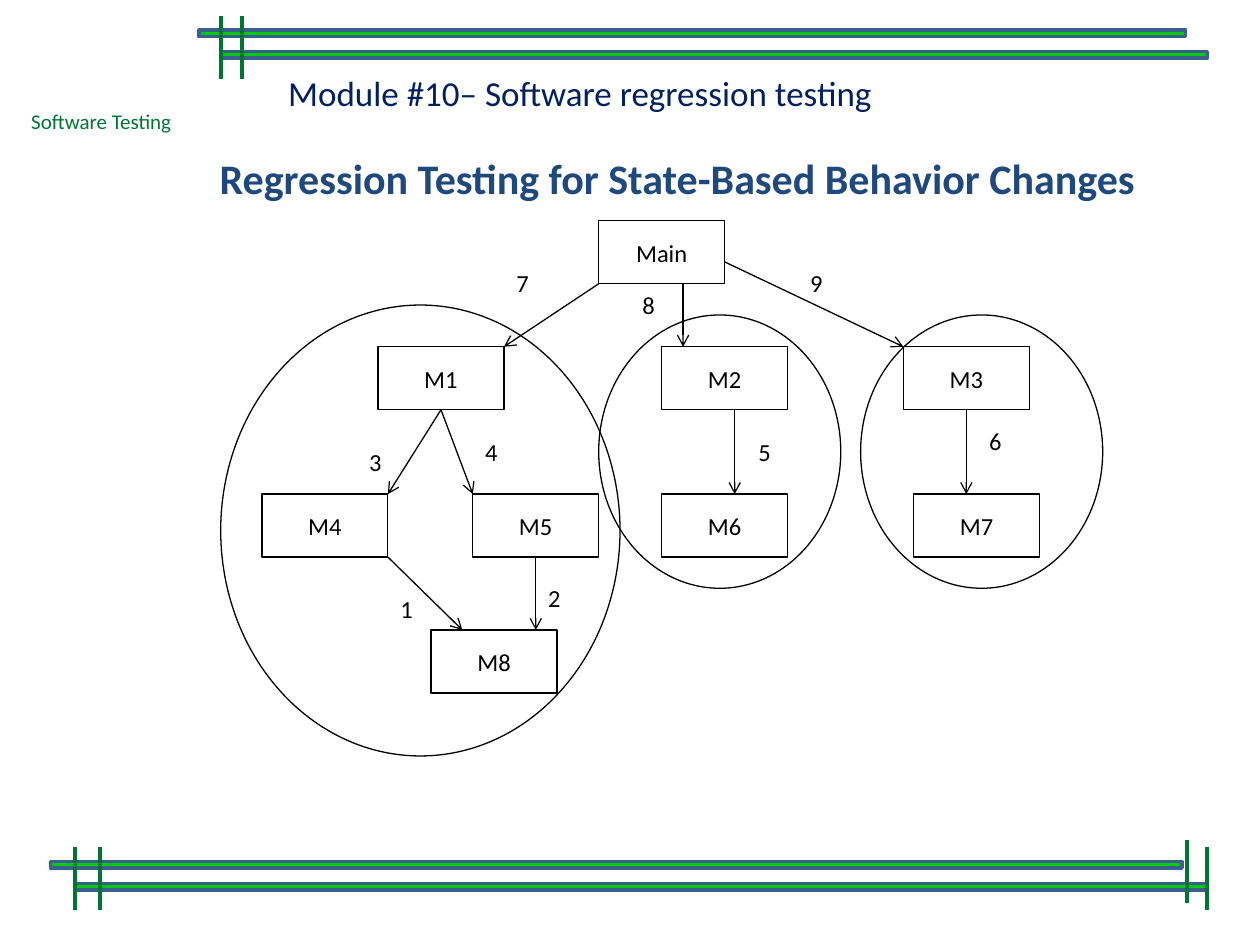
import dataclasses

import lxml.etree
import pptx
import pptx.dml.color
import pptx.enum.shapes
import pptx.enum.text
import pptx.oxml.ns
import pptx.util

Cm = pptx.util.Cm
SHAPES = pptx.enum.shapes.MSO_SHAPE
ANCHOR = pptx.enum.text.MSO_ANCHOR
ALIGN = pptx.enum.text.PP_ALIGN
BOTTOM = 2


@dataclasses.dataclass(frozen=True)
class Theme:
    font: str = "Calibri"
    ink: str = "000000"
    paper: str = "FFFFFF"
    bar: str = "00CC00"
    bar_edge: str = "3A5F8C"
    green: str = "007434"
    module: str = "002060"
    title: str = "1F497D"
    title_size: int = 24
    module_size: int = 20
    diagram_size: int = 14
    course_size: int = 12
    thin: float = 0.75
    bar_width: float = 2
    tick_width: float = 2.25


def apply(target, values):
    for name, value in values.items():
        setattr(target, name, value)


def color(value):
    return pptx.dml.color.RGBColor.from_string(value)


class SlideBuilder:
    def __init__(self, slide, theme):
        self.slide = slide
        self.theme = theme

    def set_text(self, shape, text, size, ink, bold=False, frame=None, paragraph=None):
        text_frame = shape.text_frame
        text_frame.text = text
        apply(text_frame, {"word_wrap": False, **(frame or {})})
        first = text_frame.paragraphs[0]
        apply(first, {"alignment": ALIGN.LEFT, **(paragraph or {})})
        apply(first.font, {"name": self.theme.font, "size": pptx.util.Pt(size), "bold": bold})
        first.font.color.rgb = color(ink)

    def fill(self, shape, value):
        shape.fill.solid()
        shape.fill.fore_color.rgb = color(value)

    def stroke(self, shape, value, width):
        shape.line.color.rgb = color(value)
        shape.line.width = pptx.util.Pt(width)

    def title(self, text, left, top, width, height):
        shape = self.slide.shapes.title
        apply(shape, {"left": Cm(left), "top": Cm(top), "width": Cm(width), "height": Cm(height)})
        self.fill(shape, self.theme.paper)
        margins = {f"margin_{side}": Cm(0.4) for side in ("left", "top", "right", "bottom")}
        self.set_text(shape, text, self.theme.title_size, self.theme.title, True,
                      {"vertical_anchor": ANCHOR.MIDDLE, "word_wrap": True,
                       "auto_size": pptx.enum.text.MSO_AUTO_SIZE.NONE, **margins},
                      {"alignment": ALIGN.CENTER, "line_spacing": 0.9})

    def shape(self, kind, left, top, width, height, fill=None, line=None, line_width=None):
        shape = self.slide.shapes.add_shape(kind, Cm(left), Cm(top), Cm(width), Cm(height))
        shape.shadow.inherit = False
        if fill:
            self.fill(shape, fill)
        else:
            shape.fill.background()
        if line:
            self.stroke(shape, line, line_width)
        else:
            shape.line.fill.background()
        return shape

    def bar(self, left, top, width):
        self.shape(SHAPES.FLOWCHART_PROCESS, left, top, width, 0.13,
                   self.theme.bar, self.theme.bar_edge, self.theme.bar_width)

    def tick(self, left, top):
        self.line((left, top), (left, top + 1.27), self.theme.green, self.theme.tick_width)

    def node(self, text, left, top):
        shape = self.shape(SHAPES.RECTANGLE, left, top, 2.54, 1.27,
                           self.theme.paper, self.theme.ink, self.theme.thin)
        self.set_text(shape, text, self.theme.diagram_size, self.theme.ink,
                      frame={"vertical_anchor": ANCHOR.MIDDLE},
                      paragraph={"alignment": ALIGN.CENTER})
        return shape

    def group_ring(self, left, top, width, height):
        self.shape(SHAPES.OVAL, left, top, width, height, None, self.theme.ink, self.theme.thin)

    def banner(self, text, left, top, width, height):
        shape = self.shape(SHAPES.RECTANGLE, left, top, width, height, self.theme.paper)
        self.set_text(shape, text, self.theme.module_size, self.theme.module,
                      frame={"word_wrap": True, "vertical_anchor": ANCHOR.TOP})

    def label(self, text, left, top, width, height, size, ink):
        box = self.slide.shapes.add_textbox(Cm(left), Cm(top), Cm(width), Cm(height))
        self.set_text(box, text, size, ink)

    def line(self, start, end, ink, width):
        connector = self.slide.shapes.add_connector(
            pptx.enum.shapes.MSO_CONNECTOR.STRAIGHT, *(Cm(value) for value in (*start, *end)))
        self.stroke(connector, ink, width)
        lxml.etree.SubElement(connector._element.spPr, pptx.oxml.ns.qn("a:effectLst"))
        return connector

    def arrow(self, start, end, source=None):
        connector = self.line(start, end, self.theme.ink, self.theme.thin)
        outline = connector._element.spPr.find(pptx.oxml.ns.qn("a:ln"))
        lxml.etree.SubElement(outline, pptx.oxml.ns.qn("a:tailEnd"), type="arrow")
        if source is not None:
            connector.begin_connect(source, BOTTOM)


BARS = [(4.01, 0.61, 19.89), (4.45, 1.04, 19.89), (1.02, 17.37, 22.81), (1.52, 17.81, 22.81)]
TICKS = [(4.45, 0.33), (4.88, 0.33), (1.52, 17.07), (2.01, 17.07), (24.33, 17.07), (23.93, 16.94)]
ROWS = {
    4.45: {"Main": 12.07},
    6.99: {"M1": 7.62, "M2": 13.34, "M3": 18.21},
    9.96: {"M4": 5.28, "M5": 9.53, "M6": 13.34, "M7": 18.42},
    12.7: {"M8": 8.69},
}
ARROWS = [
    ((13.77, 5.72), (13.77, 6.99), None),
    ((12.07, 5.72), (10.16, 6.99), None),
    ((14.61, 5.28), (18.21, 6.99), None),
    ((8.89, 8.26), (7.82, 9.96), "M1"),
    ((8.89, 8.26), (9.53, 9.96), "M1"),
    ((10.8, 11.23), (10.8, 12.7), "M5"),
    ((14.81, 8.26), (14.81, 9.96), None),
    ((19.48, 8.26), (19.48, 9.96), "M3"),
    ((7.82, 11.23), (9.32, 12.7), None),
]
RINGS = [(4.45, 6.15, 8.05, 9.09), (12.07, 6.35, 4.88, 5.51), (17.35, 6.35, 4.88, 5.51)]
NUMBERS = {
    "1": (7.82, 11.86), "2": (10.8, 11.63), "3": (7.19, 8.89),
    "4": (9.53, 8.69), "5": (15.04, 8.69), "6": (19.69, 8.46),
    "7": (10.16, 5.28), "8": (12.7, 5.72), "9": (16.08, 5.28),
}


def main():
    presentation = pptx.Presentation()
    presentation.slide_width = Cm(25.4)
    presentation.slide_height = Cm(19.05)
    theme = Theme()
    builder = SlideBuilder(presentation.slides.add_slide(presentation.slide_layouts[5]), theme)

    builder.label("Software Testing", 0.38, 2.06, 3.38, 0.76, theme.course_size, theme.green)
    for bar in BARS:
        builder.bar(*bar)
    for tick in TICKS:
        builder.tick(*tick)
    builder.banner("Module #10– Software regression testing", 5.56, 1.32, 16.1, 1.12)
    builder.title("Regression Testing for State-Based Behavior Changes", 3.81, 2.95, 19.69, 1.4)

    nodes = {name: builder.node(name, left, top)
             for top, row in ROWS.items() for name, left in row.items()}
    for start, end, source in ARROWS:
        builder.arrow(start, end, nodes.get(source))
    for ring in RINGS:
        builder.group_ring(*ring)
    for number, (left, top) in NUMBERS.items():
        builder.label(number, left, top, 0.76, 0.84, theme.diagram_size, theme.ink)

    presentation.save("out.pptx")


if __name__ == "__main__":
    main()
